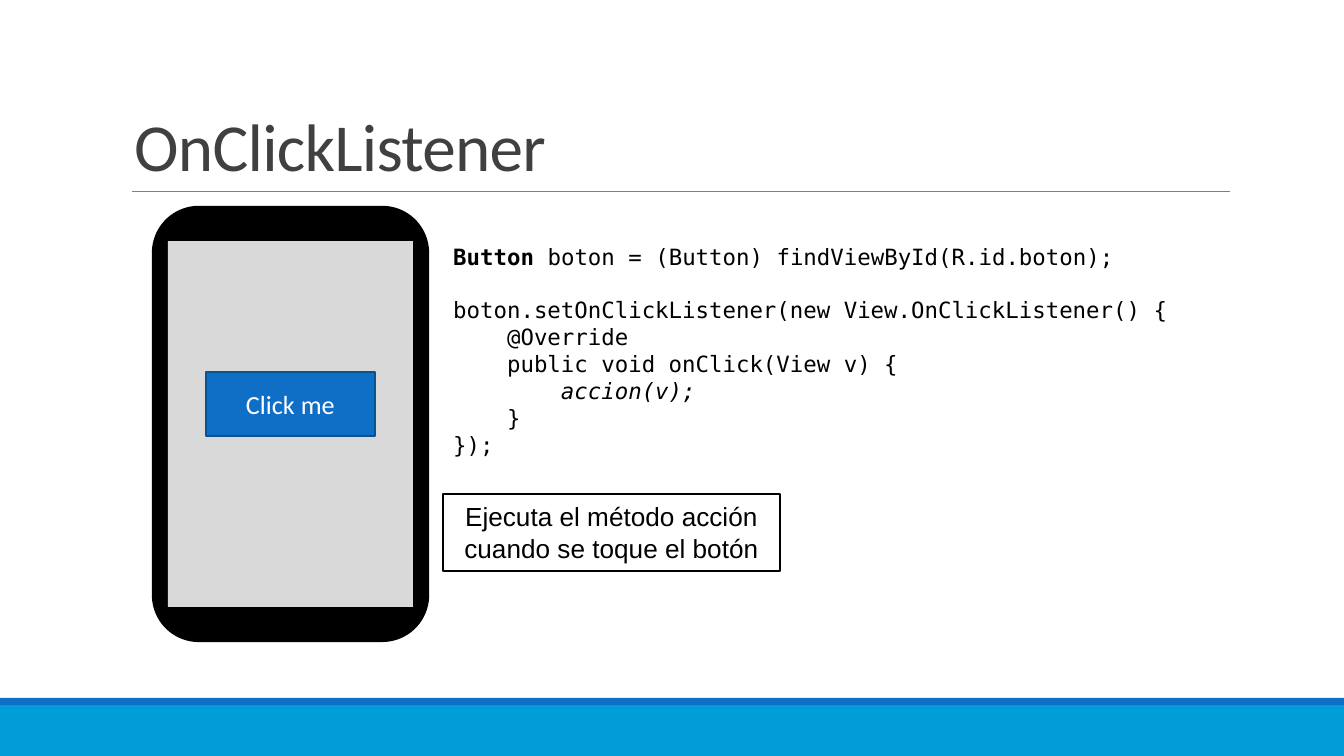
from pptx import Presentation
from pptx.dml.color import RGBColor
from pptx.enum.shapes import MSO_CONNECTOR as Connector, MSO_SHAPE as Shape
from pptx.enum.text import MSO_ANCHOR as Anchor, MSO_AUTO_SIZE as AutoSize, PP_ALIGN as Align
from pptx.oxml.ns import qn
from pptx.util import Pt
from lxml.etree import SubElement

COLORS = {
    "band": "009DD9", "blue": "0F6FC6", "button_line": "0B5292", "rule": "808080",
    "title": "404040", "black": "000000", "screen": "D9D9D9", "white": "FFFFFF",
}
CODE = [
    [("Button ", "bold"), ("boton = (Button) findViewById(R.id.boton);", "")],
    [("boton.setOnClickListener(new View.OnClickListener() {", "")],
    [("    @Override", "")],
    [("    public void onClick(View v) {", "")],
    [("        accion(v);", "italic")],
    [("    }", "")],
    [("});", "")],
]


def px(length):
    """Convert px at 134.4 to the inch into EMU."""
    return round(length * 914400 / 134.4)


def color(name):
    """Look up a named colour."""
    return RGBColor.from_string(COLORS[name])


def set_font(paragraph, name, size, font_color):
    """Set the font shared by all runs of a paragraph."""
    paragraph.font.name = name
    paragraph.font.size = Pt(size)
    paragraph.font.color.rgb = color(font_color)


def add_box(slide, kind, box, fill=None, line=None, weight=1.25):
    """Add a flat preset shape with optional fill and outline."""
    shape = slide.shapes.add_shape(kind, *map(px, box))
    shape.shadow.inherit = False
    if fill:
        shape.fill.solid()
        shape.fill.fore_color.rgb = color(fill)
    else:
        shape.fill.background()
    if line:
        shape.line.color.rgb = color(line)
        shape.line.width = Pt(weight)
    else:
        shape.line.fill.background()
    return shape


def add_label(shape, text, name, font_color, anchor):
    """Write centred 14 pt text in a shape."""
    frame = shape.text_frame
    frame.word_wrap = True
    frame.vertical_anchor = anchor
    paragraph = frame.paragraphs[0]
    paragraph.text = text
    paragraph.alignment = Align.CENTER
    set_font(paragraph, name, 14, font_color)


def add_footer(slide, left, top, width, height):
    """Draw the bottom band with its darker top strip."""
    strip = 7
    add_box(slide, Shape.RECTANGLE, (left, top + strip, width, height - strip), "band")
    add_box(slide, Shape.RECTANGLE, (left, top, width, strip), "blue")


def add_title(slide, left, top, width, height):
    """Write the title and the rule beneath it."""
    bottom, right = top + height, left + width
    rule = slide.shapes.add_connector(
        Connector.STRAIGHT, px(left + 11), px(bottom), px(right), px(bottom))
    rule.line.color.rgb = color("rule")
    rule.line.width = Pt(0.5)
    SubElement(rule._element.spPr, qn("a:effectLst"))

    frame = slide.shapes.add_textbox(*map(px, (left, top, width, height))).text_frame
    frame.word_wrap = True
    frame.vertical_anchor = Anchor.BOTTOM
    paragraph = frame.paragraphs[0]
    paragraph.line_spacing = 0.85
    run = paragraph.add_run()
    run.text = "OnClickListener"
    run._r.get_or_add_rPr().set("spc", "-40")
    set_font(paragraph, "Calibri", 36, "title")


def add_phone(slide, left, top, width, height):
    """Draw a phone whose screen holds one button."""
    side, edge = 15, 34
    add_box(slide, Shape.ROUNDED_RECTANGLE, (left, top, width, height), "black", "black")
    add_box(slide, Shape.RECTANGLE,
            (left + side, top + edge, width - 2 * side, height - 2 * edge), "screen")
    button = add_box(slide, Shape.RECTANGLE, (left + 53, top + 165, width - 106, 64),
                     "blue", "button_line")
    add_label(button, "Click me", "Calibri", "white", Anchor.MIDDLE)


def add_code(slide, left, top, width, height):
    """Write the listener code, with a gap after its first line."""
    frame = slide.shapes.add_textbox(*map(px, (left, top, width, height))).text_frame
    frame.word_wrap = True
    for index, parts in enumerate(CODE):
        paragraph = frame.add_paragraph() if index else frame.paragraphs[0]
        for text, style in parts:
            run = paragraph.add_run()
            run.text = text
            if style:
                setattr(run.font, style, True)
        set_font(paragraph, "DejaVu Sans Mono", 12, "black")
    frame.paragraphs[1].space_before = Pt(14)


def add_note(slide, left, top, width, height):
    """Draw the outlined explanation."""
    note = add_box(slide, Shape.RECTANGLE, (left, top, width, height), line="black", weight=0.75)
    add_label(note, "Ejecuta el método acción cuando se toque el botón", "Arial", "black", Anchor.TOP)
    note.text_frame.auto_size = AutoSize.SHAPE_TO_FIT_TEXT


def main():
    """Build and save the slide."""
    presentation = Presentation()
    presentation.slide_width, presentation.slide_height = px(1344), px(756)
    slide = presentation.slides.add_slide(presentation.slide_layouts[6])
    add_footer(slide, 0, 698, 1344, 58)
    add_title(slide, 121, 32, 1109, 160)
    add_phone(slide, 153, 207, 275, 434)
    add_code(slide, 440, 237, 900, 231)
    add_note(slide, 443, 494, 337, 77)
    presentation.save("out.pptx")


if __name__ == "__main__":
    main()
